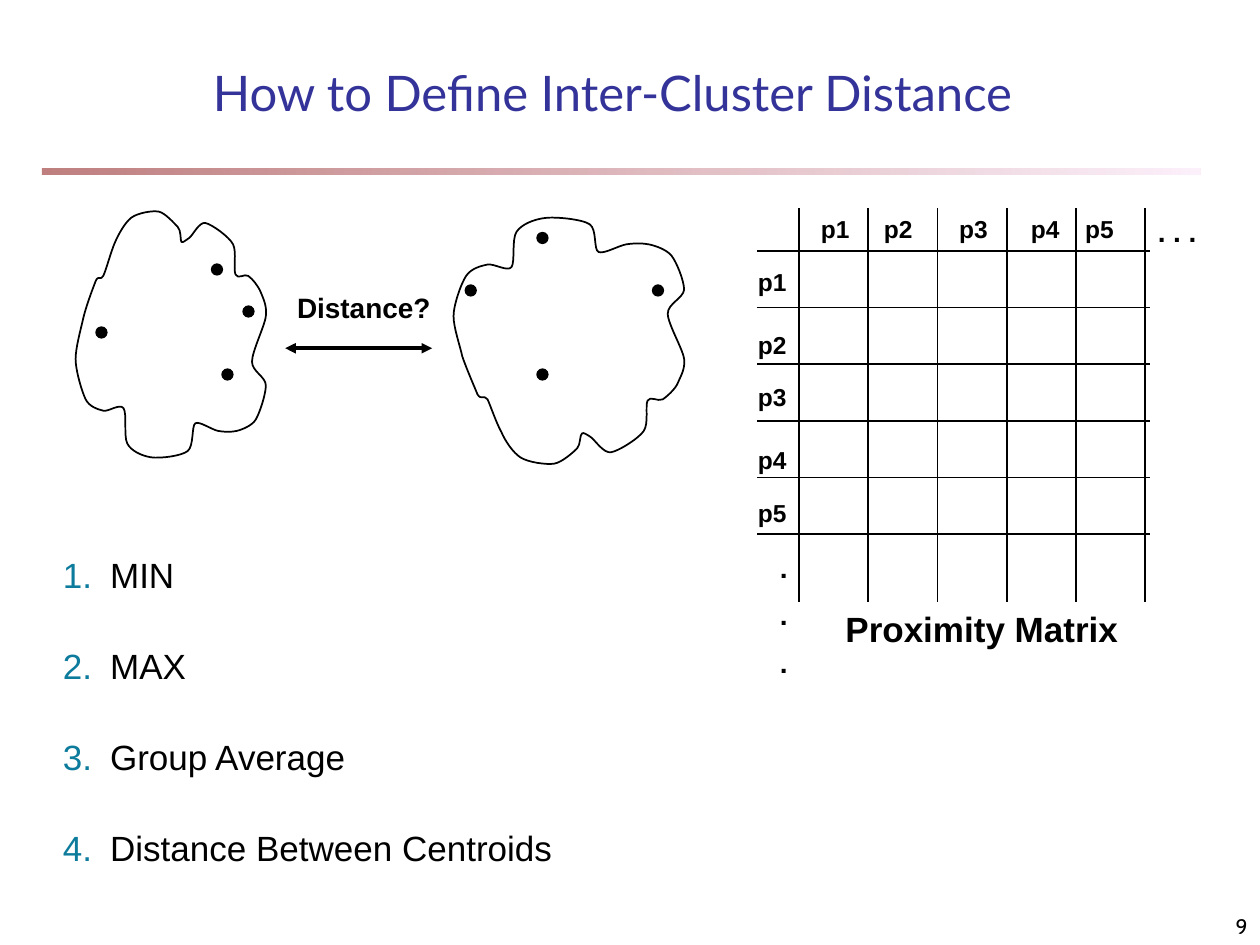
from dataclasses import dataclass

from lxml.etree import SubElement
from pptx import Presentation
from pptx.dml.color import RGBColor
from pptx.enum.shapes import MSO_CONNECTOR, MSO_SHAPE
from pptx.enum.text import MSO_ANCHOR, PP_ALIGN
from pptx.oxml.ns import qn
from pptx.util import Pt

COLORS = {
    "ink": "000000",
    "title": "333399",
    "number": "0C7B9C",
    "rule_start": "800000",
    "rule_end": "FAE2F6",
}
DOT_SIZE = 6
TENSION = 7  # higher values flatten the bends of an outline
# Points on the rim of a cluster, in hundredths of an inch.
RIM = [
    (82, 219), (76, 223), (66, 253), (60, 285), (68, 317), (82, 326), (98, 324),
    (101, 352), (120, 363), (149, 358), (155, 336), (173, 342), (188, 342),
    (203, 333), (211, 306), (200, 287), (211, 251), (207, 232), (197, 219),
    (187, 218), (185, 194), (163, 177), (150, 189), (144, 192), (141, 180),
    (126, 168), (104, 173), (91, 193),
]


@dataclass(frozen=True)
class Cluster:
    """The rim mapped to x * stretch + shift, and the corners of the dots in points."""
    stretch: float
    shift: float
    upside_down: bool
    dots: list[tuple[int, int]]


@dataclass(frozen=True)
class Label:
    text: str
    left: float
    top: float


CLUSTERS = [
    Cluster(1, 0, False, [(127, 211), (121, 151), (55, 187), (139, 175)]),
    Cluster(1.21, 287.5, True, [(373, 163), (266, 163), (307, 211), (307, 133)]),
]
ROW_TOPS = [149, 185, 215, 251, 281]
COLUMN_LEFTS = [462, 498, 541, 582, 613]
MATRIX_LABELS = [
    *(Label(f"p{i}", 426, top) for i, top in enumerate(ROW_TOPS, 1)),
    *(Label(f"p{i}", left, 119) for i, left in enumerate(COLUMN_LEFTS, 1)),
]
MEASURES = ["MIN", "MAX", "Group Average", "Distance Between Centroids"]


def color(name: str) -> RGBColor:
    return RGBColor.from_string(COLORS[name])


def write(shape, *lines: str, size: float, font="Arial", ink="ink", bold=False,
          align=PP_ALIGN.LEFT, anchor=MSO_ANCHOR.TOP, line_spacing=None,
          space_before=0) -> None:
    """Put one paragraph per line into the shape."""
    frame = shape.text_frame
    frame.word_wrap = True
    frame.vertical_anchor = anchor
    for i, line in enumerate(lines):
        para = frame.add_paragraph() if i else frame.paragraphs[0]
        para.alignment = align
        para.line_spacing = line_spacing
        para.space_before = Pt(space_before if i else 0)
        span = para.add_run()
        span.text = line
        span.font.size = Pt(size)
        span.font.name = font
        span.font.bold = bold
        span.font.color.rgb = color(ink)


def add_text(page, left: float, top: float, width: float, height: float,
             *lines: str, **formatting):
    box = page.shapes.add_textbox(Pt(left), Pt(top), Pt(width), Pt(height))
    write(box, *lines, **formatting)
    return box


def add_line(page, x1: float, y1: float, x2: float, y2: float,
             weight: float = 1, arrows: bool = False) -> None:
    line = page.shapes.add_connector(
        MSO_CONNECTOR.STRAIGHT, Pt(x1), Pt(y1), Pt(x2), Pt(y2))
    line.line.color.rgb = color("ink")
    line.line.width = Pt(weight)
    properties = line._element.spPr
    if arrows:
        stroke = properties.find(qn("a:ln"))
        for end in ("a:headEnd", "a:tailEnd"):
            SubElement(stroke, qn(end), type="triangle")
    SubElement(properties, qn("a:effectLst"))


def add_rule(page) -> None:
    rule = page.shapes.add_shape(
        MSO_SHAPE.RECTANGLE, Pt(24), Pt(96), Pt(662), Pt(4))
    rule.shadow.inherit = False
    rule.line.fill.background()
    rule.fill.gradient()
    rule.fill.gradient_angle = 0
    for stop, name in zip(rule.fill.gradient_stops, ("rule_start", "rule_end")):
        stop.color.rgb = color(name)
    for tint in rule._element.spPr.iter(qn("a:srgbClr")):
        SubElement(tint, qn("a:alpha"), val="49000")


def smooth_curves(points: list[tuple]) -> list[tuple]:
    """Give two Bezier controls and an end for each step around a closed rim."""
    stops = []
    count = len(points)
    for i in range(count):
        before, start, end, after = (points[(i + k) % count] for k in (-1, 0, 1, 2))
        stops.append(tuple(s + (e - b) / TENSION for b, s, e in zip(before, start, end)))
        stops.append(tuple(e - (a - s) / TENSION for s, e, a in zip(start, end, after)))
        stops.append(end)
    return stops


def bend_segments(outline) -> None:
    """Turn each three straight segments into one Bezier curve and close the path."""
    route = next(outline._element.iter(qn("a:path")))
    segments = route.findall(qn("a:lnTo"))
    for i in range(0, len(segments), 3):
        curve = SubElement(route, qn("a:cubicBezTo"))
        for segment in segments[i:i + 3]:
            curve.append(segment[0])
            route.remove(segment)
    SubElement(route, qn("a:close"))


def add_cluster(page, cluster: Cluster) -> None:
    rim = [(x * cluster.stretch + cluster.shift, 536 - y if cluster.upside_down else y)
           for x, y in RIM]
    builder = page.shapes.build_freeform(*rim[0], scale=Pt(0.72))
    builder.add_line_segments(smooth_curves(rim), close=False)
    outline = builder.convert_to_shape()
    outline.shadow.inherit = False
    outline.fill.background()
    outline.line.color.rgb = color("ink")
    outline.line.width = Pt(1)
    bend_segments(outline)
    for left, top in cluster.dots:
        dot = page.shapes.add_shape(
            MSO_SHAPE.OVAL, Pt(left), Pt(top), Pt(DOT_SIZE), Pt(DOT_SIZE))
        dot.shadow.inherit = False
        dot.fill.solid()
        dot.fill.fore_color.rgb = color("ink")
        dot.line.color.rgb = color("ink")
        dot.line.width = Pt(1)


def add_matrix(page) -> None:
    for i in range(6):
        x, y = 456.5 + 39.6 * i, 143.3 + 32.4 * i
        add_line(page, x, 119, x, 344)
        add_line(page, 432.7, y, 657.4, y)
    for label in MATRIX_LABELS:
        add_text(page, label.left, label.top, 37.4, 24, label.text, size=14, bold=True)
    add_text(page, 654.5, 119, 37.4, 26.6, ". . .", size=16, bold=True)
    add_text(page, 438.5, 311, 37.4, 80.6, ".", ".", ".",
             size=16, bold=True, space_before=8)
    add_text(page, 476, 343.4, 198, 31, "Proximity Matrix", size=20, bold=True)


def add_measures(page) -> None:
    box = add_text(page, 28.8, 288.7, 575.3, 246.2, *MEASURES,
                   size=20, line_spacing=2.0, space_before=4)
    for para in box.text_frame.paragraphs:
        properties = para._p.get_or_add_pPr()
        properties.set("marL", str(Pt(27)))
        properties.set("indent", str(-Pt(27)))
        tint = SubElement(properties, qn("a:buClr"))
        SubElement(tint, qn("a:srgbClr"), val=COLORS["number"])
        SubElement(properties, qn("a:buFont"), typeface="Arial")
        SubElement(properties, qn("a:buAutoNum"), type="arabicPeriod")


def main() -> None:
    deck = Presentation()
    deck.slide_width, deck.slide_height = Pt(720), Pt(540)
    page = deck.slides.add_slide(deck.slide_layouts[5])
    add_rule(page)
    title = page.shapes.title
    title.left, title.top, title.width, title.height = Pt(24), Pt(30), Pt(652), Pt(43)
    write(title, "How to Define Inter-Cluster Distance", size=28, font="Lato",
          ink="title", align=PP_ALIGN.CENTER, anchor=MSO_ANCHOR.BOTTOM)
    add_line(page, 163, 199, 247, 199, weight=2, arrows=True)
    add_text(page, 162.7, 162.7, 95.8, 26.6, "Distance?", size=16, bold=True)
    add_measures(page)
    for cluster in CLUSTERS:
        add_cluster(page, cluster)
    add_matrix(page)
    add_text(page, 570, 510, 150, 30, "9", size=12, font="Cabin",
             align=PP_ALIGN.RIGHT, anchor=MSO_ANCHOR.BOTTOM)
    deck.save("out.pptx")


if __name__ == "__main__":
    main()
